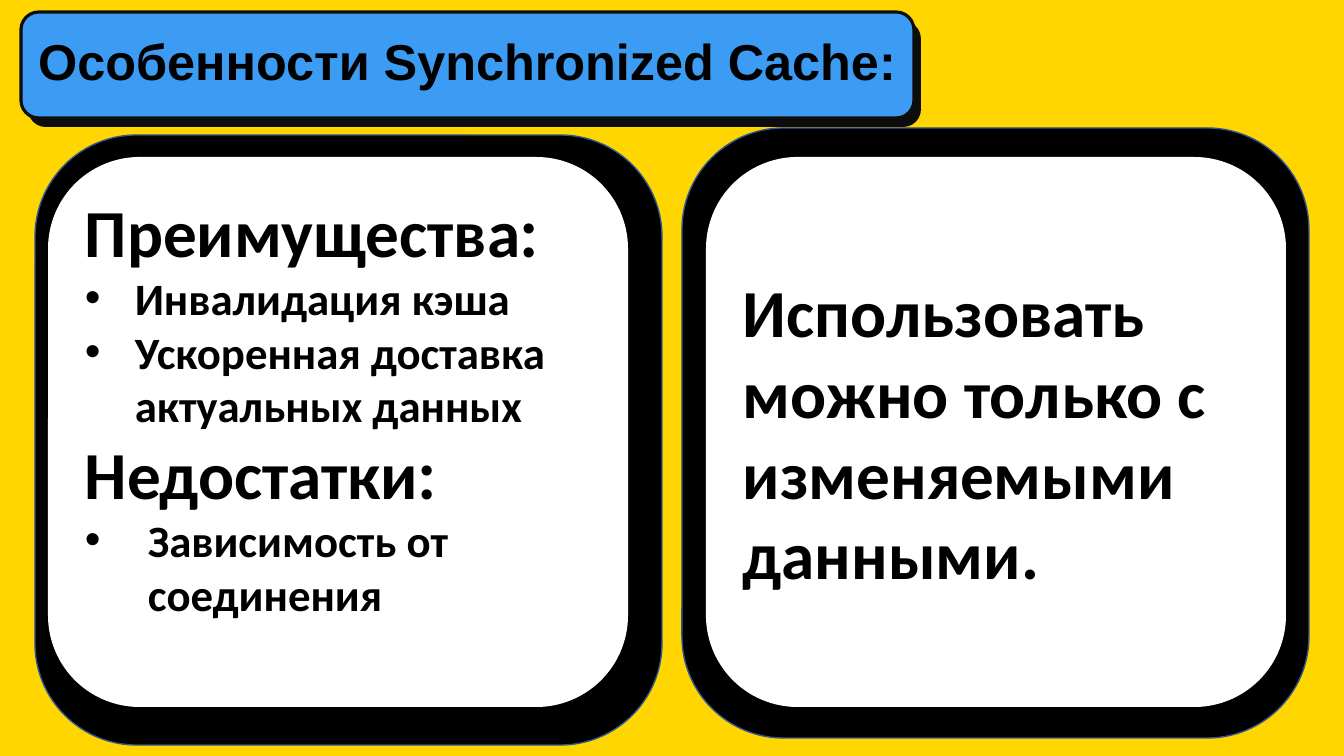
import pptx
import pptx.util
import pptx.dml.color
import pptx.enum.shapes
import pptx.enum.text
import lxml.etree
import pptx.oxml.ns

Pt = pptx.util.Pt
RGB = pptx.dml.color.RGBColor
ALIGN = pptx.enum.text.PP_ALIGN
ANCHOR = pptx.enum.text.MSO_ANCHOR
qn = pptx.oxml.ns.qn

YELLOW = RGB(0xFF, 0xD6, 0x00)
BLUE = RGB(0x3C, 0x9B, 0xF2)
INK = RGB(0x0D, 0x0D, 0x0D)
BLACK = RGB(0x00, 0x00, 0x00)
WHITE = RGB(0xFF, 0xFF, 0xFF)
NAVY = RGB(0x32, 0x54, 0x91)

WIDE, HIGH = 1344, 756
SCALE = pptx.util.Inches(7.5) / HIGH
HEAD, ITEM = 48, 32


def px(n):
    return pptx.util.Emu(round(n * SCALE))


def add_card(slide, box, fill, line=None, width=1):
    """Add a rounded rectangle; without a line colour it has no outline."""
    card = slide.shapes.add_shape(
        pptx.enum.shapes.MSO_SHAPE.ROUNDED_RECTANGLE, *map(px, box))
    card.shadow.inherit = False
    card.fill.solid()
    card.fill.fore_color.rgb = fill
    if line is None:
        card.line.fill.background()
    else:
        card.line.color.rgb = line
        card.line.width = Pt(width)
    return card


def set_font(para, name, size):
    para.alignment = ALIGN.LEFT
    font = para.font
    font.name, font.size, font.bold = name, Pt(size), True
    font.color.rgb = BLACK


def add_bullet(para, indent):
    props = para._p.get_or_add_pPr()
    props.set("marL", str(px(indent)))
    props.set("indent", str(-px(indent)))
    lxml.etree.SubElement(props, qn("a:buFont")).set("typeface", "Arial")
    lxml.etree.SubElement(props, qn("a:buChar")).set("char", "•")


def add_title(slide, box, text):
    """Place the title on a blue badge with a dark offset card behind it."""
    left, top, width, height = box
    add_card(slide, (left + 7, top + 9, width, height), INK)
    add_card(slide, box, BLUE, INK, 2.25)
    title = slide.shapes.title
    title.left, title.top = px(left + 7), px(top + 13)
    title.width, title.height = px(width + 21), px(72)
    title.element.getparent().append(title.element)
    frame = title.text_frame
    frame.text = text
    frame.word_wrap = True
    frame.auto_size = pptx.enum.text.MSO_AUTO_SIZE.NONE
    frame.vertical_anchor = ANCHOR.TOP
    set_font(frame.paragraphs[0], "Arial", 36)


def add_panel(slide, box, shift, lines, foot=5):
    """Add a white card on a black one, shift giving the white card's offset.

    Each line is (text, size, bullet indent); foot is the bottom inset.
    """
    left, top, width, height = box
    add_card(slide, box, BLACK, NAVY)
    card = add_card(
        slide, (left + shift[0], top + shift[1], width - 47, height - 60), WHITE)
    frame = card.text_frame
    frame.word_wrap = True
    frame.vertical_anchor = ANCHOR.MIDDLE
    frame.margin_bottom = px(foot)
    for i, (text, size, indent) in enumerate(lines):
        para = frame.add_paragraph() if i else frame.paragraphs[0]
        if indent:
            add_bullet(para, indent)
        set_font(para, "Calibri", size)
        para.add_run().text = text.removesuffix(":")
        if text.endswith(":"):
            colon = para.add_run()
            colon.text = ":"
            colon.font.name = "Lato"


def main():
    deck = pptx.Presentation()
    deck.slide_width, deck.slide_height = px(WIDE), px(HIGH)
    slide = deck.slides.add_slide(deck.slide_layouts.get_by_name("Title Only"))
    slide.background.fill.solid()
    slide.background.fill.fore_color.rgb = YELLOW

    add_title(slide, (21, 12, 893, 106), "Особенности Synchronized Сache:")
    add_panel(slide, (35, 135, 627, 610), (13, 22), [
        ("Преимущества:", HEAD, 0),
        ("Инвалидация кэша", ITEM, 50),
        ("Ускоренная доставка актуальных данных", ITEM, 50),
        ("Недостатки:", HEAD, 0),
        ("Зависимость от соединения", ITEM, 63),
    ], foot=59)
    add_panel(slide, (682, 128, 627, 610), (24, 29), [
        ("Использовать можно только с изменяемыми данными.", HEAD, 0),
    ])
    deck.save("out.pptx")


if __name__ == "__main__":
    main()
